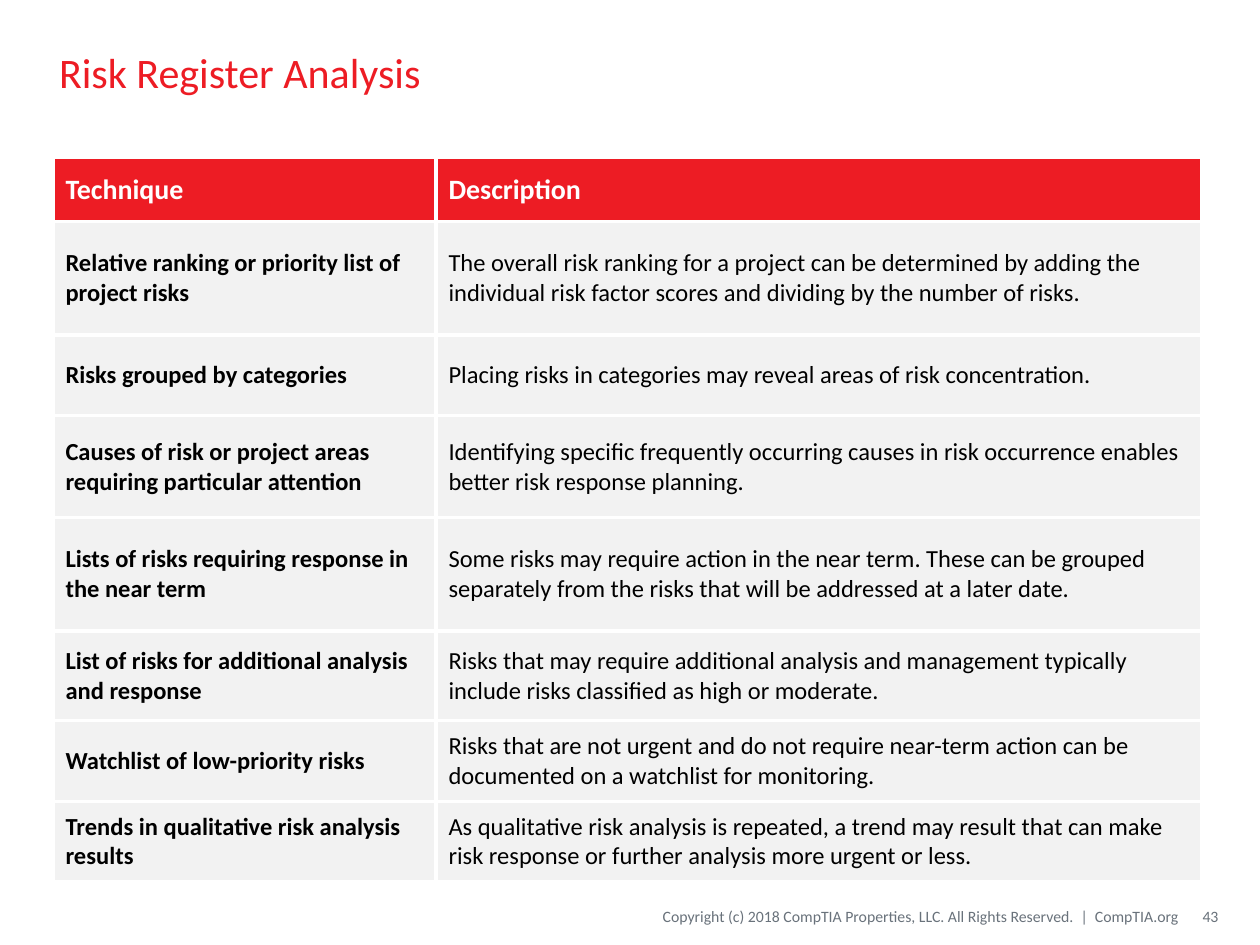
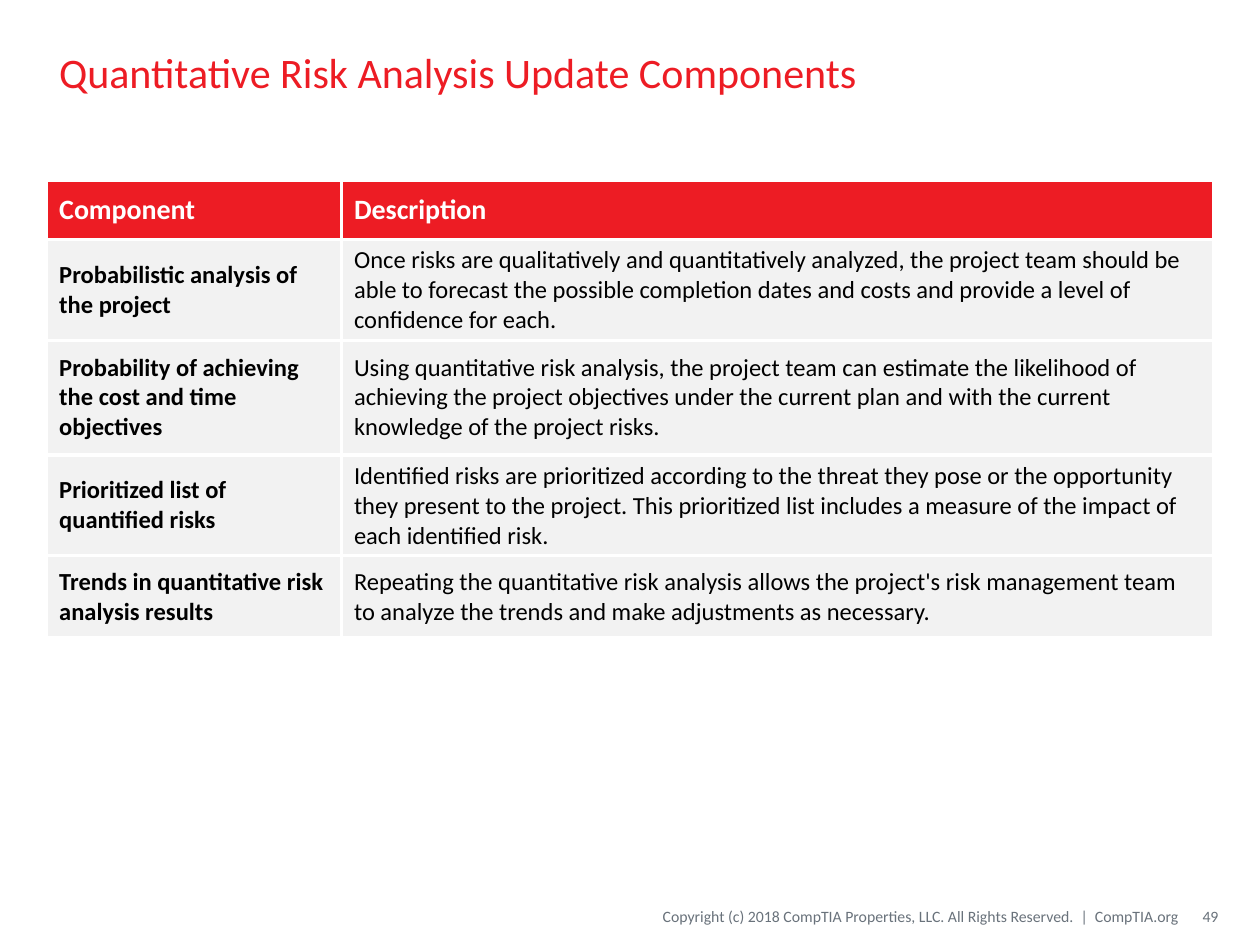
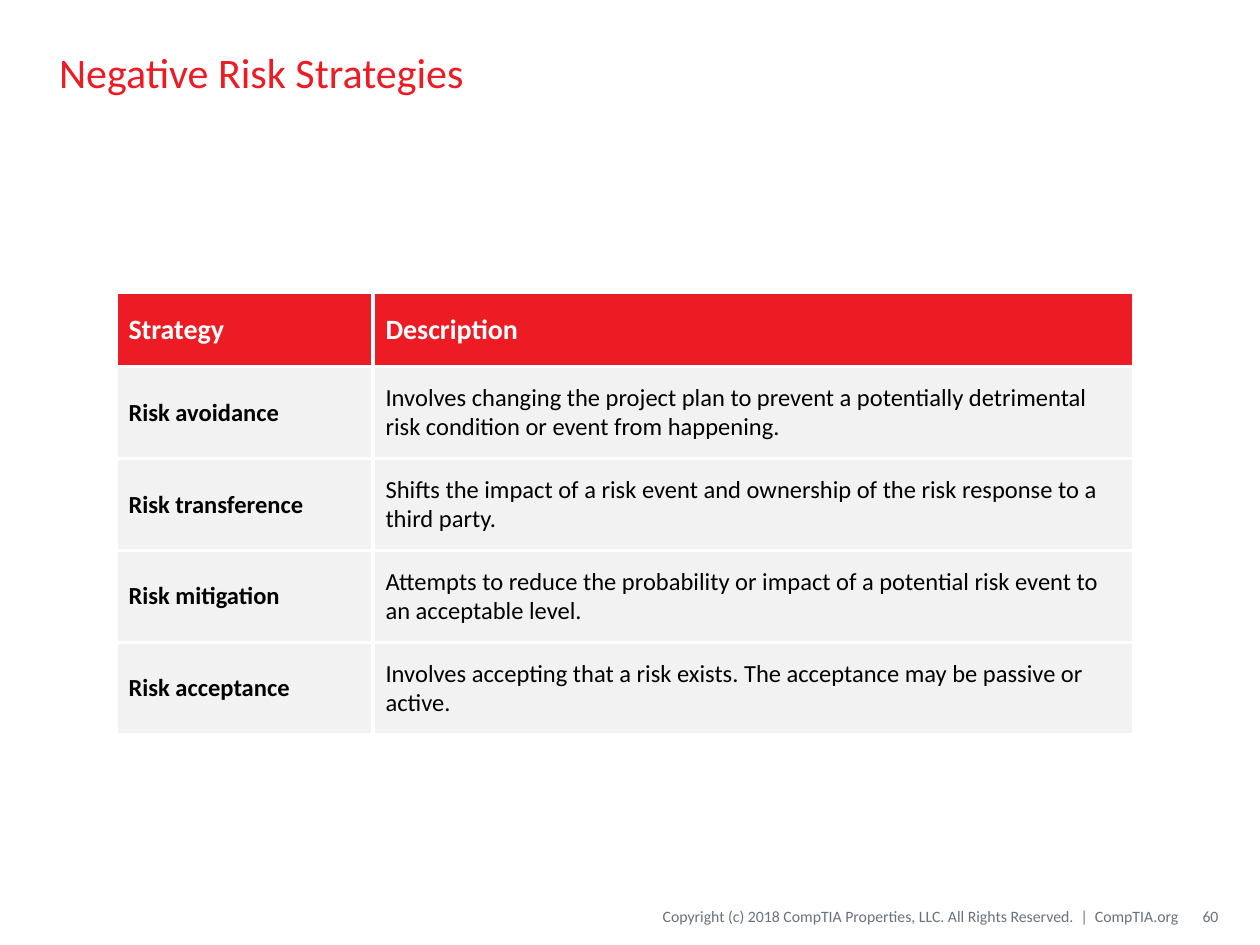
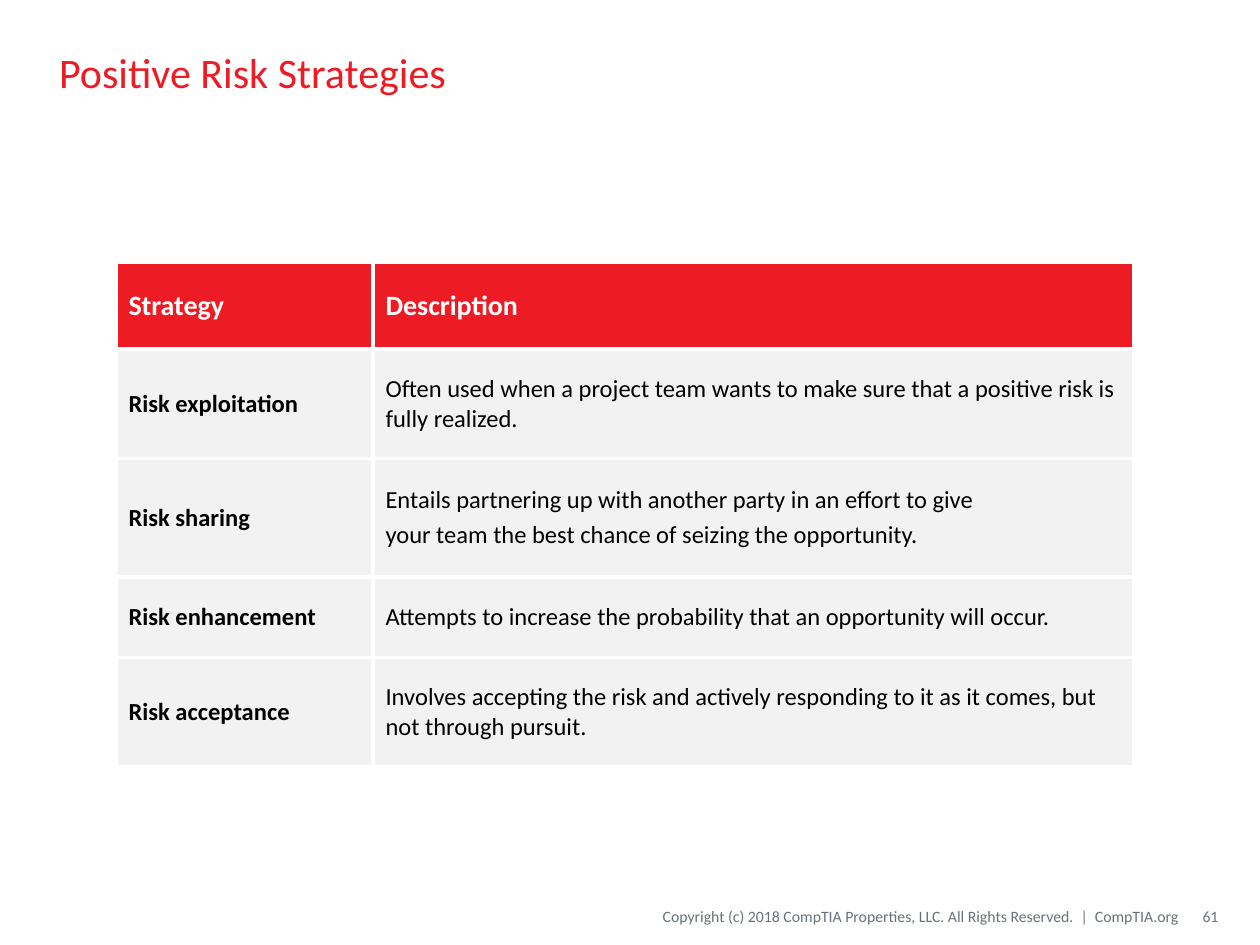
from lxml.etree import SubElement
from pptx import Presentation
from pptx.dml.color import RGBColor
from pptx.enum.text import MSO_ANCHOR, PP_ALIGN
from pptx.oxml.ns import qn
from pptx.util import Inches, Pt

RED = RGBColor(0xED, 0x1C, 0x24)
GRAY = RGBColor(0x69, 0x72, 0x7B)
PALE = RGBColor(0xF2, 0xF2, 0xF2)
WHITE = RGBColor(0xFF, 0xFF, 0xFF)
BLACK = RGBColor(0, 0, 0)
FONT = "Calibri"
BORDER = Pt(2.25)

TITLE_BOX = (0.37, 0.11, 9.25, 0.92)
COPYRIGHT_BOX = (3.88, 7.12, 5.47, 0.3)
NUMBER_BOX = (9.38, 7.12, 0.29, 0.3)
COPYRIGHT = "Copyright (c) 2018 CompTIA Properties, LLC. All Rights Reserved.  |  CompTIA.org"

STRATEGY_COLUMNS = (2.04, 6.04)

SLIDES = [
    {
        "title": "Risk Register Analysis",
        "number": 43,
        "corner": (0.42, 1.25),
        "columns": (3.04, 6.08),
        "heights": (0.51, 0.9, 0.64, 0.81, 0.9, 0.71, 0.64, 0.64),
        "rows": [
            ("Technique", "Description"),
            ("Relative ranking or priority list of project risks",
             "The overall risk ranking for a project can be determined by adding the "
             "individual risk factor scores and dividing by the number of risks."),
            ("Risks grouped by categories",
             "Placing risks in categories may reveal areas of risk concentration."),
            ("Causes of risk or project areas requiring particular attention",
             "Identifying specific frequently occurring causes in risk occurrence enables "
             "better risk response planning."),
            ("Lists of risks requiring response in the near term",
             "Some risks may require action in the near term. These can be grouped "
             "separately from the risks that will be addressed at a later date."),
            ("List of risks for additional analysis and response",
             "Risks that may require additional analysis and management typically "
             "include risks classified as high or moderate."),
            ("Watchlist of low-priority risks",
             "Risks that are not urgent and do not require near-term action can be "
             "documented on a watchlist for monitoring."),
            ("Trends in qualitative risk analysis results",
             "As qualitative risk analysis is repeated, a trend may result that can make "
             "risk response or further analysis more urgent or less."),
        ],
    },
    {
        "title": "Quantitative Risk Analysis Update Components",
        "number": 49,
        "corner": (0.37, 1.43),
        "columns": (2.34, 6.92),
        "heights": (0.47, 0.75, 0.91, 0.72, 0.65),
        "rows": [
            ("Component", "Description"),
            ("Probabilistic analysis of the project",
             "Once risks are qualitatively and quantitatively analyzed, the project team "
             "should be able to forecast the possible completion dates and costs and "
             "provide a level of confidence for each."),
            ("Probability of achieving the cost and time objectives",
             "Using quantitative risk analysis, the project team can estimate the "
             "likelihood of achieving the project objectives under the current plan and "
             "with the current knowledge of the project risks."),
            ("Prioritized list of quantified risks",
             "Identified risks are prioritized according to the threat they pose or the "
             "opportunity they present to the project. This prioritized list includes a "
             "measure of the impact of each identified risk."),
            ("Trends in quantitative risk analysis results",
             "Repeating the quantitative risk analysis allows the project's risk "
             "management team to analyze the trends and make adjustments as necessary."),
        ],
    },
    {
        "title": "Negative Risk Strategies",
        "number": 60,
        "corner": (0.92, 2.32),
        "columns": STRATEGY_COLUMNS,
        "heights": (0.59, 0.73, 0.73, 0.73, 0.73),
        "rows": [
            ("Strategy", "Description"),
            ("Risk avoidance",
             "Involves changing the project plan to prevent a potentially detrimental "
             "risk condition or event from happening."),
            ("Risk transference",
             "Shifts the impact of a risk event and ownership of the risk response to a "
             "third party."),
            ("Risk mitigation",
             "Attempts to reduce the probability or impact of a potential risk event to "
             "an acceptable level."),
            ("Risk acceptance",
             "Involves accepting that a risk exists. The acceptance may be passive or active."),
        ],
    },
    {
        "title": "Positive Risk Strategies",
        "number": 61,
        "corner": (0.92, 2.08),
        "columns": STRATEGY_COLUMNS,
        "heights": (0.69, 0.87, 0.94, 0.64, 0.87),
        "rows": [
            ("Strategy", "Description"),
            ("Risk exploitation",
             "Often used when a project team wants to make sure that a positive risk is "
             "fully realized."),
            ("Risk sharing",
             "Entails partnering up with another party in an effort to give\n"
             "your team the best chance of seizing the opportunity."),
            ("Risk enhancement",
             "Attempts to increase the probability that an opportunity will occur."),
            ("Risk acceptance",
             "Involves accepting the risk and actively responding to it as it comes, but "
             "not through pursuit."),
        ],
    },
]


def write_text(frame, text, size, color, bold=False, align=PP_ALIGN.LEFT):
    """Write each line of the text as a formatted paragraph."""
    frame.word_wrap = True
    for index, line in enumerate(text.split("\n")):
        para = frame.add_paragraph() if index else frame.paragraphs[0]
        para.alignment = align
        if index:
            para.space_before = Pt(0.2 * size)
        span = para.add_run()
        span.text = line
        span.font.name = FONT
        span.font.size = Pt(size)
        span.font.bold = bold
        span.font.color.rgb = color


def add_text(page, box, text, left_inset=0.1, right_inset=0.1, **text_format):
    """Add a vertically centred text box."""
    frame = page.shapes.add_textbox(*map(Inches, box)).text_frame
    frame.vertical_anchor = MSO_ANCHOR.MIDDLE
    frame.margin_left = Inches(left_inset)
    frame.margin_right = Inches(right_inset)
    write_text(frame, text, **text_format)


def add_footer(page, number):
    """Add the copyright line and the page number."""
    footer_format = {"size": 9, "color": GRAY, "align": PP_ALIGN.RIGHT, "right_inset": 0}
    add_text(page, COPYRIGHT_BOX, COPYRIGHT, left_inset=0, **footer_format)
    add_text(page, NUMBER_BOX, str(number), **footer_format)


def draw_borders(cell):
    """Give a cell white borders on all four sides."""
    properties = cell._tc.get_or_add_tcPr()
    for side in ("a:lnL", "a:lnR", "a:lnT", "a:lnB"):
        line = SubElement(properties, qn(side), w=str(BORDER))
        fill = SubElement(line, qn("a:solidFill"))
        SubElement(fill, qn("a:srgbClr"), val=str(WHITE))


def add_risk_table(page, corner, columns, heights, rows):
    """Add a table with a red header row and a bold first column."""
    box = (*corner, sum(columns), sum(heights))
    table = page.shapes.add_table(len(rows), len(columns), *map(Inches, box)).table
    table.horz_banding = False
    for column, width in zip(table.columns, columns):
        column.width = Inches(width)
    for row_index, (row, height, texts) in enumerate(zip(table.rows, heights, rows)):
        row.height = Inches(height)
        header = row_index == 0
        for column_index, (cell, text) in enumerate(zip(row.cells, texts)):
            draw_borders(cell)
            cell.fill.solid()
            cell.fill.fore_color.rgb = RED if header else PALE
            cell.vertical_anchor = MSO_ANCHOR.MIDDLE
            write_text(cell.text_frame, text, size=16 if header else 14,
                       color=WHITE if header else BLACK,
                       bold=header or column_index == 0)


def add_table_slide(deck, title, number, **table_parts):
    """Add a slide with a title, a table and a footer."""
    page = deck.slides.add_slide(deck.slide_layouts[6])
    add_text(page, TITLE_BOX, title, size=24, color=RED)
    add_risk_table(page, **table_parts)
    add_footer(page, number)


def main():
    """Build and save the deck."""
    deck = Presentation()
    deck.slide_width, deck.slide_height = Inches(10), Inches(7.5)
    for slide in SLIDES:
        add_table_slide(deck, **slide)
    deck.save("out.pptx")


if __name__ == "__main__":
    main()
